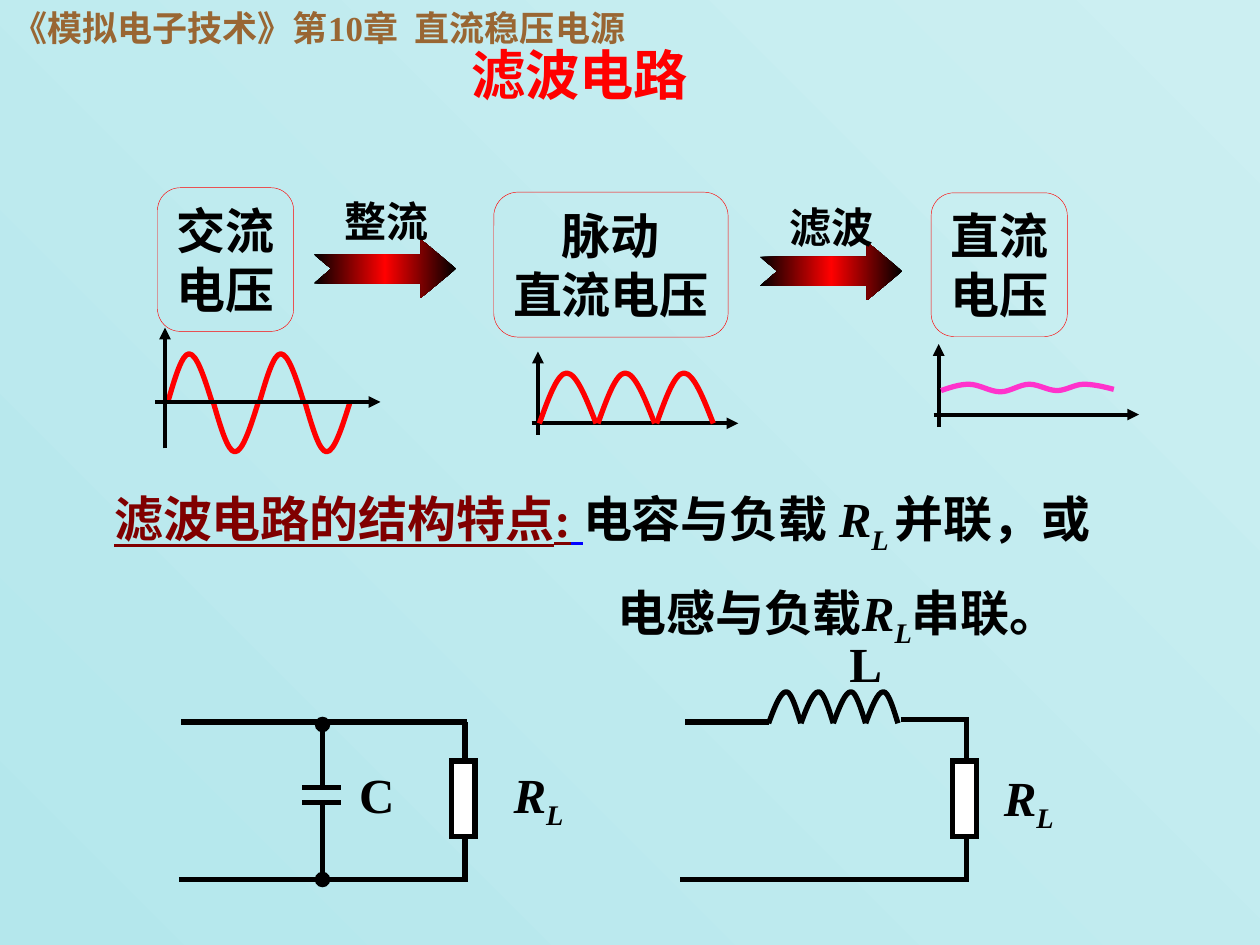
"""Build the filter-circuit slide: conversion stages, waveforms and two filter circuits."""
from copy import deepcopy

from lxml import etree
from pptx import Presentation
from pptx.dml.color import RGBColor
from pptx.enum.shapes import MSO_CONNECTOR, MSO_SHAPE
from pptx.enum.text import MSO_ANCHOR, MSO_AUTO_SIZE, PP_ALIGN
from pptx.oxml.ns import qn
from pptx.util import Pt

STRAIGHT = MSO_CONNECTOR.STRAIGHT
ROUNDED = MSO_SHAPE.FLOWCHART_ALTERNATE_PROCESS
RECTANGLE, OVAL = MSO_SHAPE.RECTANGLE, MSO_SHAPE.OVAL
LEFT, CENTER = PP_ALIGN.LEFT, PP_ALIGN.CENTER
TOP, MIDDLE = MSO_ANCHOR.TOP, MSO_ANCHOR.MIDDLE
FIT_SHAPE = MSO_AUTO_SIZE.SHAPE_TO_FIT_TEXT
SERIF, SANS = "Times New Roman", "Noto Sans CJK SC"
COLORS = {
    "black": "000000", "white": "FFFFFF", "red": "FF0000", "maroon": "800000",
    "blue": "0000FF", "brown": "996633", "pink": "FF33CC",
    "sky_dark": "B4E7EC", "sky_light": "CCEFF2",
}
ITALIC, SUBSCRIPT = {"italic": True}, {"italic": True, "subscript": True}
LOAD = [("R", ITALIC), ("L", SUBSCRIPT)]


def color(name):
    return RGBColor.from_string(COLORS[name])


def paint_gradient(fill, element, names, angle):
    fill.gradient()
    fill.gradient_angle = angle
    stop_list = next(element.iter(qn("a:gsLst")))
    for _ in names[2:]:
        stop_list.append(deepcopy(stop_list[0]))
    for index, (stop, name) in enumerate(zip(fill.gradient_stops, names)):
        stop.position = index / (len(names) - 1)
        stop.color.rgb = color(name)


def add_run(paragraph, text, size, font, name="black", italic=False,
            underline=False, subscript=False, spacing=0):
    run = paragraph.add_run()
    run.text = text
    run.font.size, run.font.name, run.font.bold = Pt(size), font, True
    run.font.italic, run.font.underline = italic, underline
    run.font.color.rgb = color(name)
    properties = run._r.get_or_add_rPr()
    if subscript:
        properties.set("baseline", "-25000")
    if spacing:
        properties.set("spc", str(spacing * 100))
    etree.SubElement(properties, qn("a:ea")).set("typeface", SANS)


def write_text(shape, lines, size, font, align=CENTER, anchor=TOP, wrap=True):
    frame = shape.text_frame
    frame.word_wrap, frame.vertical_anchor = wrap, anchor
    frame.auto_size = FIT_SHAPE
    if not wrap:
        frame.margin_left = frame.margin_right = 0
    for index, runs in enumerate(lines):
        paragraph = frame.add_paragraph() if index else frame.paragraphs[0]
        paragraph.alignment = align
        for text, style in runs:
            add_run(paragraph, text, size, font, **style)
    return frame


def add_text(slide, box, runs, size=28, font=SERIF, **layout):
    shape = slide.shapes.add_textbox(*map(Pt, box))
    return write_text(shape, [runs], size, font, **layout)


def add_preset(slide, kind, box, line, width, fill=None):
    shape = slide.shapes.add_shape(kind, *map(Pt, box))
    shape.shadow.inherit = False
    if fill:
        shape.fill.solid()
        shape.fill.fore_color.rgb = color(fill)
    else:
        shape.fill.background()
    shape.line.color.rgb, shape.line.width = color(line), Pt(width)
    outline = shape._element.spPr.find(qn("a:ln"))
    etree.SubElement(outline, qn("a:miter")).set("lim", "800000")
    return shape


def add_stage(slide, box, words):
    shape = add_preset(slide, ROUNDED, box, "red", 0.25)
    lines = [[(word, {})] for word in words]
    write_text(shape, lines, 28, SANS, anchor=MIDDLE, wrap=False)


def add_line(slide, x1, y1, x2, y2, width=3, arrow=False):
    line = slide.shapes.add_connector(STRAIGHT, Pt(x1), Pt(y1), Pt(x2), Pt(y2))
    line.line.color.rgb, line.line.width = color("black"), Pt(width)
    properties = line._element.spPr
    if arrow:
        outline = properties.find(qn("a:ln"))
        etree.SubElement(outline, qn("a:tailEnd")).set("type", "triangle")
    etree.SubElement(properties, qn("a:effectLst"))


def add_outline(slide, points, close):
    vertices = [(Pt(x), Pt(y)) for x, y in points]
    builder = slide.shapes.build_freeform(*vertices[0])
    builder.add_line_segments(vertices[1:], close=close)
    shape = builder.convert_to_shape()
    shape.shadow.inherit = False
    return shape


def bend_segments(shape):
    """Turn straight segments into Bezier curves that run level at inner knots."""
    segments = list(shape._element.iter(qn("a:lnTo")))
    knots = [(int(point.get("x")), int(point.get("y")))
             for point in shape._element.iter(qn("a:pt"))]
    for index, segment in enumerate(segments):
        (x1, y1), (x2, y2) = knots[index:index + 2]
        middle = (y1 + y2) // 2
        leave = y1 if index else middle
        arrive = y2 if index < len(segments) - 1 else middle
        third = (x2 - x1) // 3
        curve = etree.Element(qn("a:cubicBezTo"))
        for x, y in ((x1 + third, leave), (x2 - third, arrive), (x2, y2)):
            point = etree.SubElement(curve, qn("a:pt"))
            point.set("x", str(x))
            point.set("y", str(y))
        segment.getparent().replace(segment, curve)


def add_curve(slide, knots, name):
    shape = add_outline(slide, knots, close=False)
    bend_segments(shape)
    shape.fill.background()
    shape.line.color.rgb, shape.line.width = color(name), Pt(3)


def add_arch(slide, x, base, width, height, name="red", peak=0.48):
    knots = [(x, base), (x + peak * width, base - height), (x + width, base)]
    add_curve(slide, knots, name)


def add_step_arrow(slide, x, y, label, label_box):
    offsets = [(0, 8.6), (61.2, 8.6), (61.2, 0), (81.4, 16.8), (61.2, 33.4),
               (61.2, 25.2), (0, 25.2), (10, 16.8)]
    shape = add_outline(slide, [(x + dx, y + dy) for dx, dy in offsets], close=True)
    paint_gradient(shape.fill, shape._element, ["black", "red", "black"], 0)
    shape.line.fill.background()
    add_text(slide, label_box, [(label, {})], 24, SANS, anchor=MIDDLE, wrap=False)


def add_axes(slide, x, top, bottom, left, right, base):
    add_line(slide, x, bottom, x, top, 2.25, arrow=True)
    add_line(slide, left, base, right, base, 2.25, arrow=True)


def add_load(slide, x, label_x, label_y):
    add_line(slide, x, 412.6, x, 504)
    add_line(slide, x - 163.4, 502.6, x, 502.6)
    add_preset(slide, RECTANGLE, (x - 7.9, 434.9, 13.7, 43.2), "black", 3, "white")
    add_text(slide, (label_x, label_y, 51.1, 45.4), LOAD)


def draw_waveforms(slide):
    add_axes(slide, 307.4, 200.9, 248.4, 303.8, 421.9, 241.9)
    add_axes(slide, 536.4, 196.6, 244.1, 533.5, 650.9, 236.9)
    for index in range(3):
        add_arch(slide, 308.2 + 33.5 * index, 242, 32.4, 28.8)
    ripple = [(537.8, 223.2), (553.7, 219.6), (571.7, 223.9), (588.2, 219.6),
              (604.1, 223.2), (619.2, 219.6), (636.5, 222.5)]
    add_curve(slide, ripple, "pink")
    for index in range(4):
        add_arch(slide, 95.8 + 26.2 * index, 230.2, 25.5, 28 * (-1) ** index)
    add_axes(slide, 94.3, 187.2, 256.3, 88.6, 217.4, 229.7)


def draw_inductor_circuit(slide):
    add_line(slide, 391.7, 412.6, 439.2, 412.6)
    add_load(slide, 552.2, 562.3, 434.9)
    for index in range(4):
        add_arch(slide, 439.2 + 18.5 * index, 413.3, 18.4, 18, "black", 0.55)
    add_line(slide, 514.8, 411.1, 553.7, 411.1)
    add_text(slide, (460.8, 358.6, 67.7, 41), [("L", {})])


def draw_capacitor_circuit(slide):
    add_line(slide, 103.7, 412.6, 267.1, 412.6)
    add_load(slide, 265.7, 282.2, 433.4)
    for wire_end, plate, dot in ((412.6, 450, 411.1), (502.6, 458.6, 499.7)):
        add_line(slide, 172.8, plate, 195.1, plate)
        add_line(slide, 184.3, wire_end, 184.3, plate)
        add_preset(slide, OVAL, (181.4, dot, 5.8, 5.8), "black", 3, "black")
    add_text(slide, (195.1, 433.4, 40.3, 41), [("C", {})])


def main():
    presentation = Presentation()
    presentation.slide_width, presentation.slide_height = Pt(720), Pt(540)
    slide = presentation.slides.add_slide(presentation.slide_layouts[6])
    paint_gradient(slide.background.fill, slide._element, ["sky_dark", "sky_light"], 45)
    brown = {"name": "brown"}
    header = [("《模拟电子技术》第10章", brown), (" ", {"name": "brown", "spacing": 5}),
              ("直流稳压电源", brown)]
    add_text(slide, (0, 0, 445, 31.7), header, 20, align=LEFT)
    add_text(slide, (202.3, 18.7, 257.8, 46.8),
             [("滤波电路", {"name": "red"})], 31, anchor=MIDDLE)
    features = [("滤波电路的结构特点:", {"name": "maroon", "underline": True}),
                (" ", {"name": "blue", "underline": True}),
                ("电容与负载 ", {}), ("R", ITALIC), ("L ", SUBSCRIPT),
                ("并联，或电感与负载", {}), *LOAD, ("串联。", {})]
    paragraph = add_text(slide, (52.6, 260.6, 583.2, 114.5), features).paragraphs[0]
    paragraph.line_spacing = 1.4
    properties = paragraph._p.get_or_add_pPr()
    properties.set("marL", str(Pt(269.3)))
    properties.set("indent", str(-Pt(269.3)))
    add_stage(slide, (90, 107.3, 77.8, 82.1), ["交流", "电压"])
    add_stage(slide, (282.2, 109.8, 133.9, 82.8), ["脉动", "直流电压"])
    add_stage(slide, (532.1, 110.2, 77.8, 82.1), ["直流", "电压"])
    add_step_arrow(slide, 179.3, 136.8, "整流", (190.1, 108, 61.9, 36))
    add_step_arrow(slide, 434.2, 138.2, "滤波", (444.2, 111.6, 61.9, 36))
    draw_inductor_circuit(slide)
    draw_capacitor_circuit(slide)
    draw_waveforms(slide)
    presentation.save("out.pptx")


if __name__ == "__main__":
    main()
